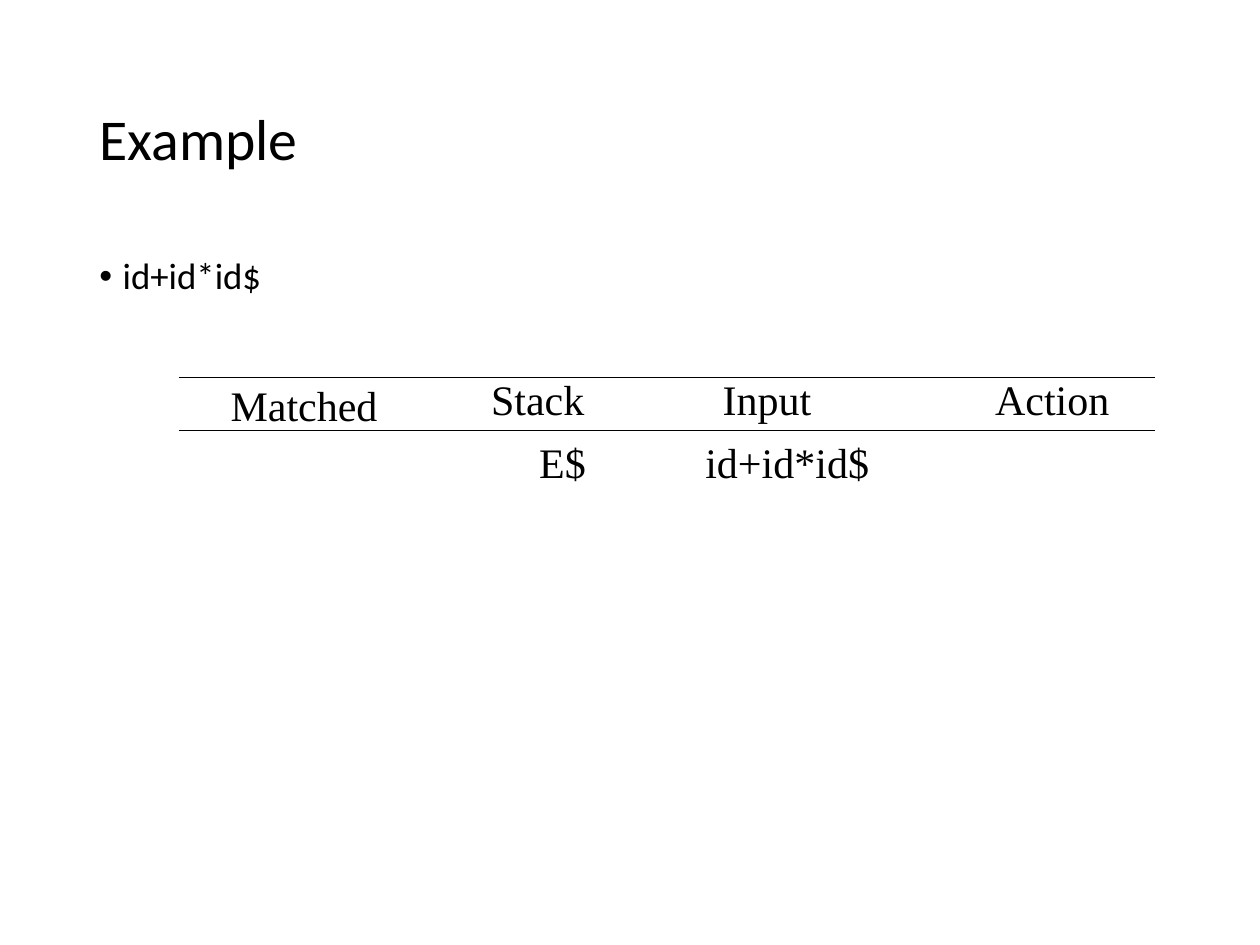
from pptx import Presentation
from pptx.dml.color import RGBColor
from pptx.enum import shapes, text
from pptx.oxml import parse_xml
from pptx.oxml.ns import nsdecls
from pptx.util import Cm, Pt

INK = "000000"


def tint(code):
    return RGBColor.from_string(code)


def style(frame, face, size):
    for para in frame.paragraphs:
        para.alignment = text.PP_ALIGN.LEFT
        for run in para.runs:
            run.font.name = face
            run.font.size = Pt(size)
            run.font.color.rgb = tint(INK)


def fill(holder, words, top, high, size, anchor):
    holder.left, holder.top = Cm(1.75), Cm(top)
    holder.width, holder.height = Cm(21.92), Cm(high)
    frame = holder.text_frame
    frame.text = words
    frame.auto_size = text.MSO_AUTO_SIZE.NONE
    frame.vertical_anchor = anchor
    style(frame, "Calibri", size)
    para = frame.paragraphs[0]
    para.line_spacing = 0.9
    return para


def bullet(para):
    para.space_before = Pt(7.5)
    props = para._p.get_or_add_pPr()
    props.set("marL", str(Cm(0.47)))
    props.set("indent", str(-Cm(0.47)))
    props.append(parse_xml(f'<a:buFont {nsdecls("a")} typeface="Arial"/>'))
    props.append(parse_xml(f'<a:buChar {nsdecls("a")} char="•"/>'))


def rule(slide, top):
    line = slide.shapes.add_connector(
        shapes.MSO_CONNECTOR.STRAIGHT, Cm(3.6), Cm(top), Cm(23.29), Cm(top))
    line.line.color.rgb = tint(INK)
    line.line.width = Pt(0.75)
    line._element.spPr.append(parse_xml(f'<a:effectLst {nsdecls("a")}/>'))


def label(slide, words, left, top, wide):
    box = slide.shapes.add_textbox(Cm(left), Cm(top), Cm(wide), Cm(1.27))
    frame = box.text_frame
    frame.text = words
    frame.word_wrap = False
    frame.auto_size = text.MSO_AUTO_SIZE.SHAPE_TO_FIT_TEXT
    style(frame, "Times New Roman", 24)


def main():
    deck = Presentation()
    deck.slide_width, deck.slide_height = Cm(25.4), Cm(19.05)
    slide = deck.slides.add_slide(deck.slide_layouts[1])
    title, body = slide.placeholders
    fill(title, "Example", 1.02, 3.68, 33, text.MSO_ANCHOR.MIDDLE)
    bullet(fill(body, "id+id*id$", 5.07, 12.09, 21, text.MSO_ANCHOR.TOP))
    for top in (7.61, 8.68):
        rule(slide, top)
    for words, left, top, wide in (
        ("Matched", 4.4, 7.52, 3.55),
        ("Stack", 9.65, 7.41, 2.45),
        ("Input", 14.32, 7.41, 2.35),
        ("Action", 19.81, 7.41, 2.9),
        ("E$", 10.62, 8.68, 1.5),
        ("id+id*id$", 13.97, 8.68, 3.85),
    ):
        label(slide, words, left, top, wide)
    deck.save("out.pptx")


if __name__ == "__main__":
    main()
